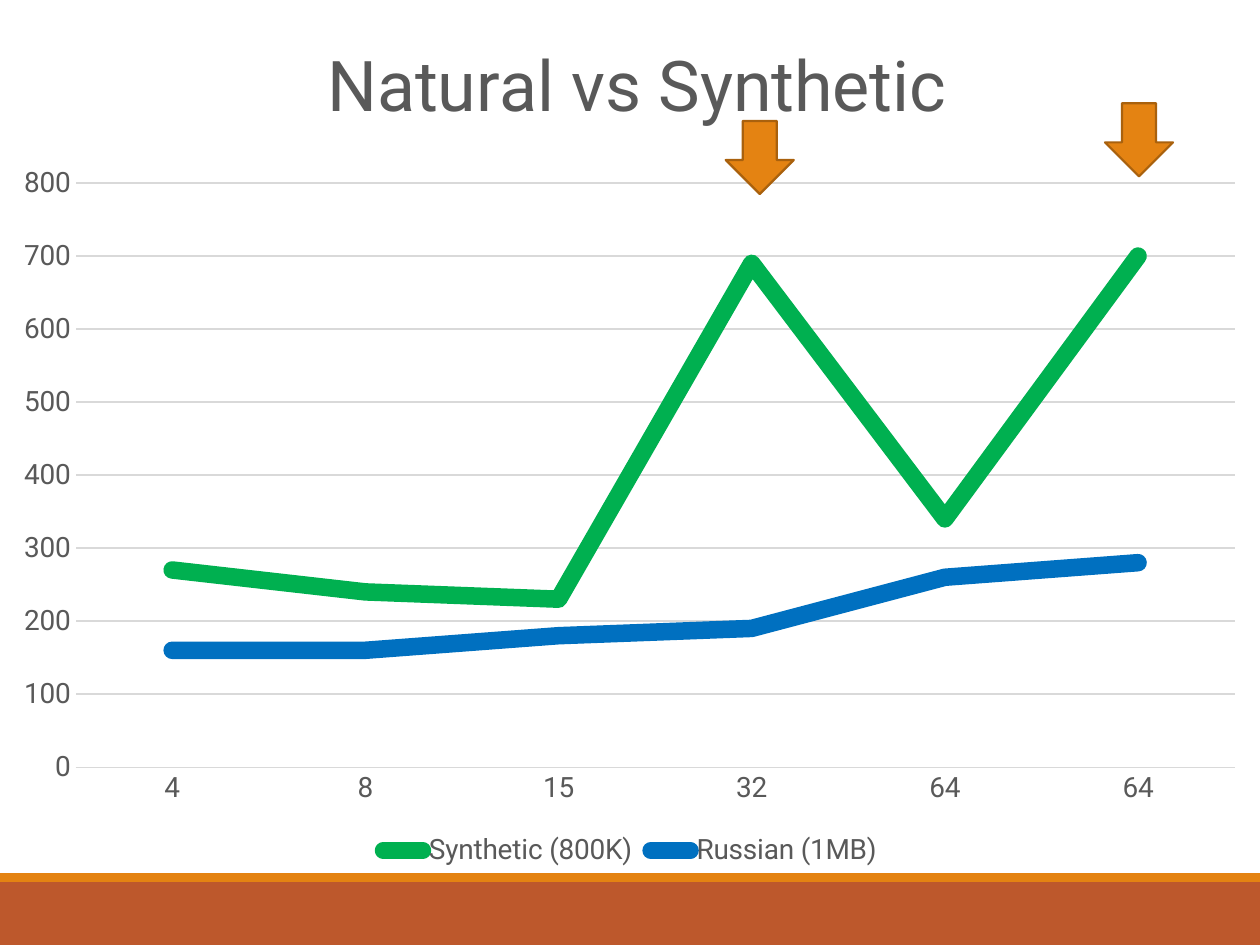
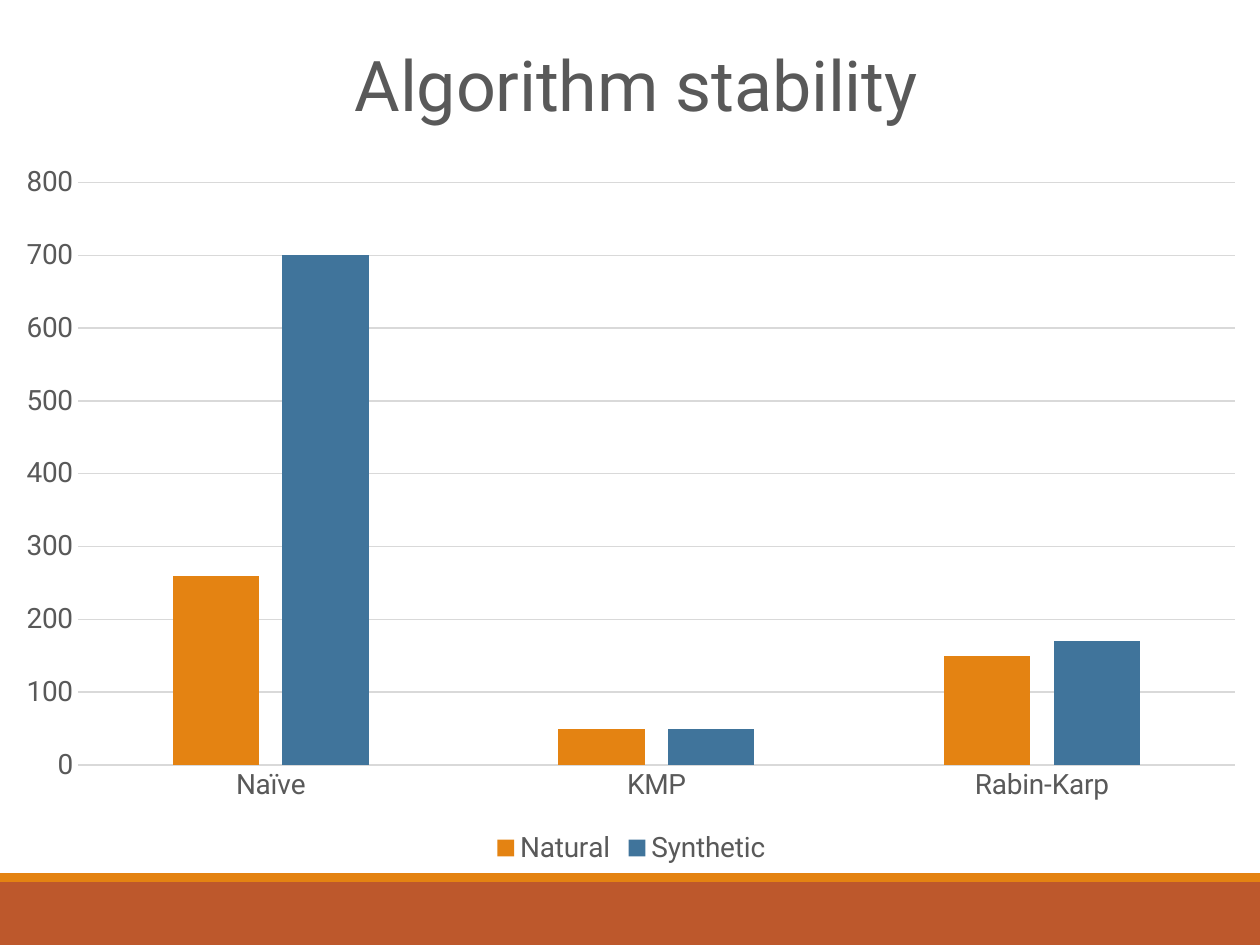
import pptx
import pptx.chart.data
import pptx.dml.color
import pptx.enum.chart
import pptx.enum.shapes
import pptx.util
from lxml import etree
from pptx.oxml.ns import qn

Inches, Pt = pptx.util.Inches, pptx.util.Pt
ChartType = pptx.enum.chart.XL_CHART_TYPE
Shape = pptx.enum.shapes.MSO_SHAPE

FONT = "Roboto"
COLORS = {
    "text": "595959", "grid": "D9D9D9", "footer": "BD582C",
    "orange": "E48312", "arrow_edge": "A9610D",
    "green": "00B050", "blue": "0070C0", "steel": "40749B",
}
FOOTER_BANDS = [((0, 7, 10, 0.5), "footer"), ((0, 6.93, 10, 0.07), "orange")]
PLOT_LAYOUT = {"x": 0.06, "y": 0.21, "w": 0.92, "h": 0.67}
TITLE_TOP = 0.03
ARROW_SIZE = (0.54, 0.58)

SLIDES = [
    {
        "title": "Natural vs Synthetic",
        "title_left": 0.25,
        "type": ChartType.LINE,
        "box": (0, 0, 10, 6.92),
        "categories": ["4", "8", "15", "32", "64", "64"],
        "series": [
            ("Synthetic (800K)", "green", [270, 240, 230, 690, 340, 700]),
            ("Russian (1MB)", "blue", [160, 160, 180, 190, 260, 280]),
        ],
        "peak_arrows": [(5.76, 0.96), (8.77, 0.82)],
    },
    {
        "title": "Algorithm stability",
        "title_left": 0.27,
        "type": ChartType.COLUMN_CLUSTERED,
        "box": (0.02, 0, 9.98, 6.9),
        "categories": ["Naïve", "KMP", "Rabin-Karp"],
        "series": [
            ("Natural", "orange", [260, 50, 150]),
            ("Synthetic", "steel", [700, 50, 170]),
        ],
        "peak_arrows": [],
    },
]


def rgb(name):
    return pptx.dml.color.RGBColor.from_string(COLORS[name])


def set_font(font, size):
    font.name, font.size, font.bold = FONT, Pt(size), False
    font.color.rgb = rgb("text")


def set_line(line, color, width):
    line.color.rgb = rgb(color)
    line.width = Pt(width)


def add_filled(slide, kind, box, fill, edge=None):
    sp = slide.shapes.add_shape(kind, *map(Inches, box))
    sp.shadow.inherit = False
    sp.fill.solid()
    sp.fill.fore_color.rgb = rgb(fill)
    if edge:
        set_line(sp.line, edge, 1.25)
    else:
        sp.line.fill.background()


def place(element, fractions):
    """Give a chart part a fixed place, in fractions of the chart."""
    layout = element.find(qn("c:layout"))
    if layout is None:
        layout = etree.Element(qn("c:layout"))
        element.insert(0, layout)
    manual = etree.SubElement(layout, qn("c:manualLayout"))
    if "w" in fractions:
        etree.SubElement(manual, qn("c:layoutTarget")).set("val", "inner")
    for key in "xy":
        etree.SubElement(manual, qn(f"c:{key}Mode")).set("val", "edge")
    for key, value in fractions.items():
        etree.SubElement(manual, qn(f"c:{key}")).set("val", str(value))


def style_axes(chart):
    for axis in (chart.category_axis, chart.value_axis):
        axis.major_tick_mark = pptx.enum.chart.XL_TICK_MARK.NONE
        axis.minor_tick_mark = pptx.enum.chart.XL_TICK_MARK.NONE
        set_font(axis.tick_labels.font, 16)
    set_line(chart.category_axis.format.line, "grid", 0.75)
    values = chart.value_axis
    values.minimum_scale, values.maximum_scale, values.major_unit = 0, 800, 100
    values.format.line.fill.background()
    values.has_major_gridlines = True
    set_line(values.major_gridlines.format.line, "grid", 0.75)


def style_series(chart, series_specs):
    plot = chart.plots[0]
    plot.vary_by_categories = False
    is_line = chart.chart_type == ChartType.LINE
    if not is_line:
        plot.gap_width, plot.overlap = 219, -27
    for series, (_, color, _) in zip(plot.series, series_specs):
        if is_line:
            series.smooth = False
            line = series.format.line
            set_line(line, color, 10)
            ln = line._get_or_add_ln()
            ln.set("cap", "rnd")
            etree.SubElement(ln, qn("a:round"))
        else:
            series.format.fill.solid()
            series.format.fill.fore_color.rgb = rgb(color)


def add_chart(slide, spec):
    data = pptx.chart.data.CategoryChartData()
    data.categories = spec["categories"]
    for name, _, values in spec["series"]:
        data.add_series(name, values)
    box = map(Inches, spec["box"])
    chart = slide.shapes.add_chart(spec["type"], *box, data).chart
    set_font(chart.font, 16)

    chart.has_title = True
    p = chart.chart_title.text_frame.paragraphs[0]
    p.text = spec["title"]
    set_font(p.font, 40)
    place(chart.chart_title._element, {"x": spec["title_left"], "y": TITLE_TOP})
    place(chart._chartSpace.chart.plotArea, PLOT_LAYOUT)

    chart.has_legend = True
    chart.legend.position = pptx.enum.chart.XL_LEGEND_POSITION.BOTTOM
    chart.legend.include_in_layout = False
    set_font(chart.legend.font, 16)
    style_axes(chart)
    style_series(chart, spec["series"])


def main():
    prs = pptx.Presentation()
    prs.slide_width, prs.slide_height = Inches(10), Inches(7.5)
    for spec in SLIDES:
        slide = prs.slides.add_slide(prs.slide_layouts.get_by_name("Blank"))
        for box, color in FOOTER_BANDS:
            add_filled(slide, Shape.RECTANGLE, box, color)
        add_chart(slide, spec)
        for corner in spec["peak_arrows"]:
            add_filled(slide, Shape.DOWN_ARROW, corner + ARROW_SIZE,
                       "orange", "arrow_edge")
    prs.save("out.pptx")


if __name__ == "__main__":
    main()
